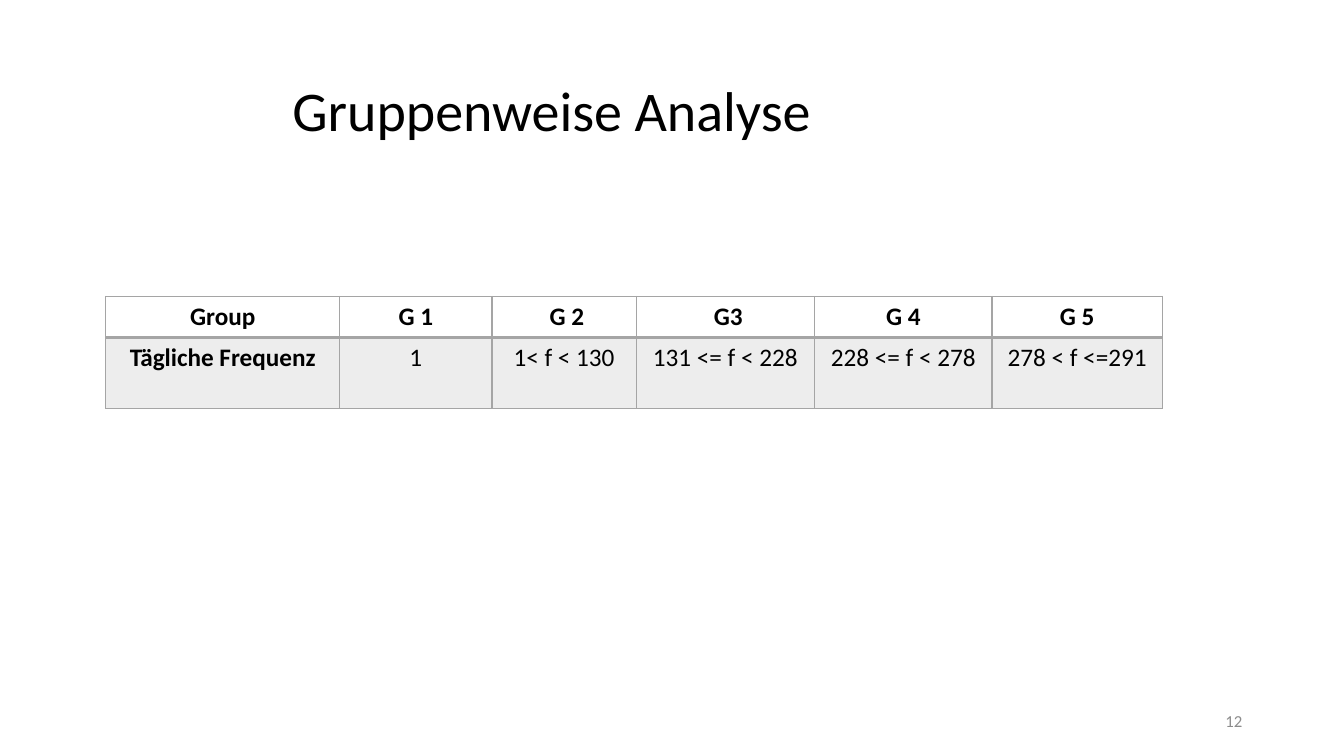
"""Build the slide with the table of daily frequency by group."""
import pptx
import pptx.dml.color
import pptx.enum.text
import pptx.oxml
import pptx.oxml.ns
import pptx.util
from pptx.util import Inches

THEME = {
    "font": "Calibri",
    "text": "000000",
    "muted": "8C8C8C",
    "border": "A5A5A5",
    "band": "EDEDED",
    "title_size": 40,
    "table_size": 18,
    "number_size": 12,
}
ALIGN = pptx.enum.text.PP_ALIGN
MIDDLE = pptx.enum.text.MSO_ANCHOR.MIDDLE


def format_text(text_frame, size, color, alignment, bold=False):
    """Apply one font and alignment to the whole text frame."""
    for paragraph in text_frame.paragraphs:
        paragraph.alignment = alignment
        for run in paragraph.runs:
            run.font.name = THEME["font"]
            run.font.size = pptx.util.Pt(THEME[size])
            run.font.bold = bold
            run.font.color.rgb = pptx.dml.color.RGBColor.from_string(THEME[color])


def add_border(cell, side, points):
    """Draw one side of a table cell."""
    namespace = pptx.oxml.ns.nsdecls("a")
    width = pptx.util.Pt(points)
    cell._tc.get_or_add_tcPr().append(pptx.oxml.parse_xml(
        f'<a:{side} {namespace} w="{width}"><a:solidFill>'
        f'<a:srgbClr val="{THEME["border"]}"/></a:solidFill></a:{side}>'
    ))


presentation = pptx.Presentation()
presentation.slide_width = Inches(13.33)
presentation.slide_height = Inches(7.5)
slide = presentation.slides.add_slide(presentation.slide_layouts[5])

title = slide.shapes.title
title.left, title.top = Inches(0.92), Inches(0.4)
title.width, title.height = Inches(11.5), Inches(1.45)
title.text_frame.text = "Gruppenweise Analyse"
title.text_frame.margin_left = Inches(1.98)
title.text_frame.vertical_anchor = MIDDLE
title.text_frame.paragraphs[0].line_spacing = 0.9
format_text(title.text_frame, "title_size", "text", ALIGN.LEFT)

rows = [
    ["Group", "G 1", " G 2", " G3", "G 4", "G 5"],
    ["Tägliche Frequenz", "1", "1< f < 130", "131 <= f < 228",
     "228 <= f < 278", "278 < f <=291"],
]
column_widths = [2.32, 1.51, 1.43, 1.77, 1.76, 1.69]
row_heights = [0.41, 0.7]
table = slide.shapes.add_table(
    len(rows), len(column_widths), Inches(1.05), Inches(2.94),
    Inches(sum(column_widths)), Inches(sum(row_heights)),
).table
for column, width in zip(table.columns, column_widths):
    column.width = Inches(width)

for row_index, labels in enumerate(rows):
    table.rows[row_index].height = Inches(row_heights[row_index])
    is_header = row_index == 0
    for column_index, label in enumerate(labels):
        cell = table.cell(row_index, column_index)
        cell.text_frame.text = label
        format_text(cell.text_frame, "table_size", "text", ALIGN.CENTER,
                    bold=is_header or column_index == 0)
        add_border(cell, "lnL", 1)
        add_border(cell, "lnR", 1)
        add_border(cell, "lnT", 1 if is_header else 2)
        add_border(cell, "lnB", 2 if is_header else 1)
        if is_header:
            cell.fill.background()
        else:
            cell.fill.solid()
            cell.fill.fore_color.rgb = pptx.dml.color.RGBColor.from_string(THEME["band"])

slide_number = slide.shapes.add_textbox(Inches(9.42), Inches(6.95), Inches(3), Inches(0.4))
slide_number.text_frame.word_wrap = True
slide_number.text_frame.vertical_anchor = MIDDLE
slide_number.text_frame.text = "12"
format_text(slide_number.text_frame, "number_size", "muted", ALIGN.RIGHT)

presentation.save("out.pptx")
